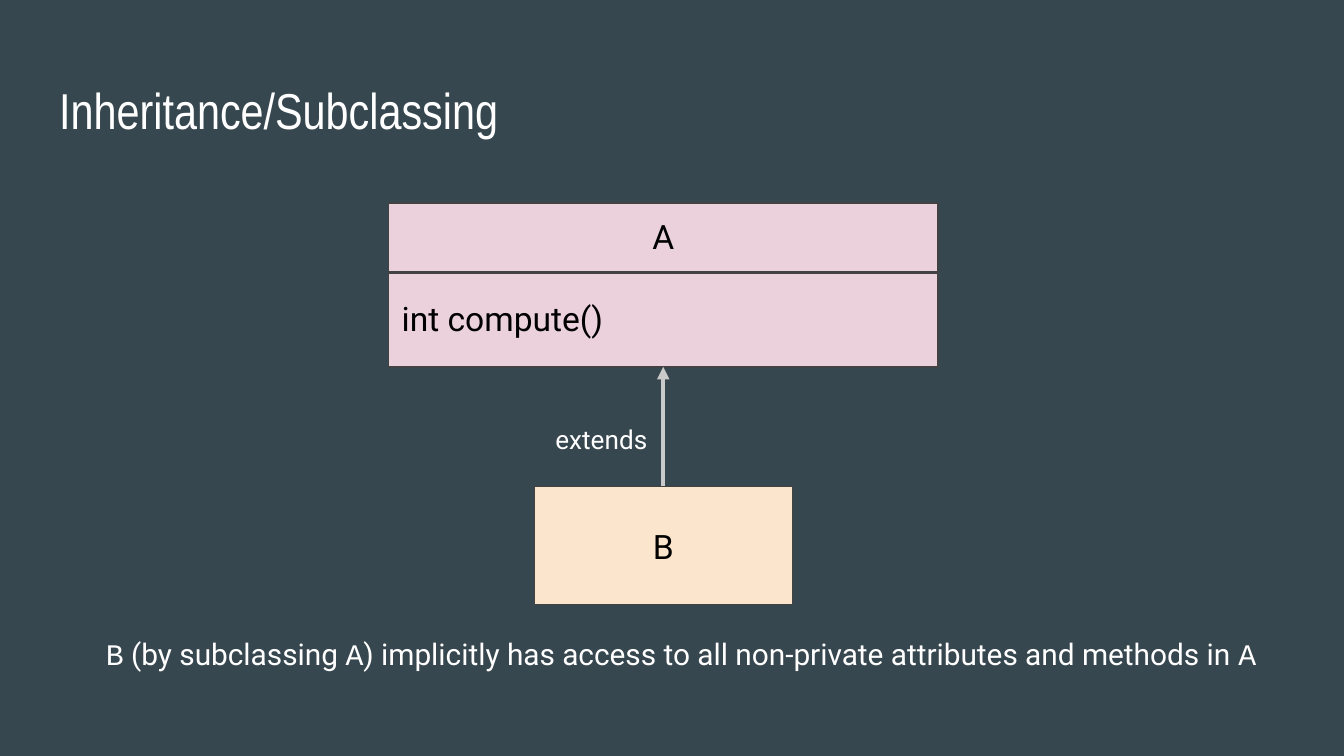
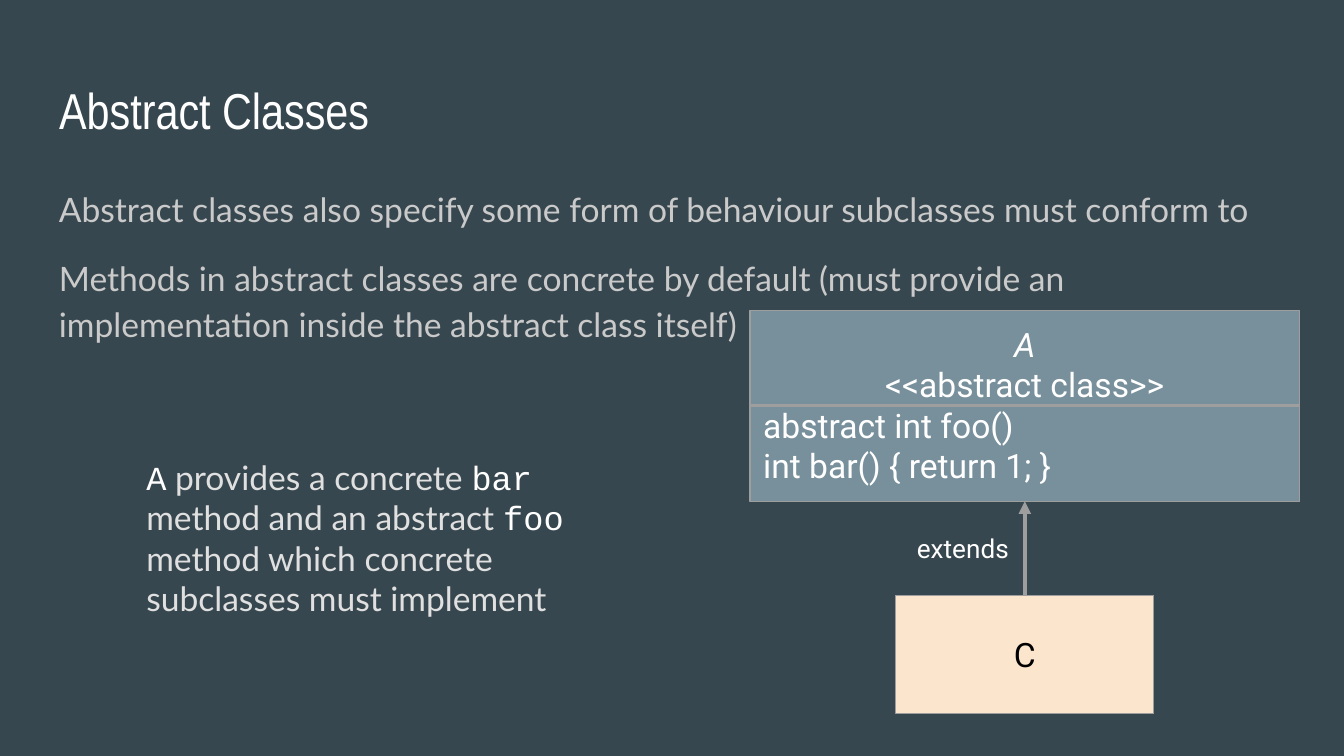
from dataclasses import dataclass

from lxml.etree import SubElement as Sub
from pptx import Presentation
from pptx.dml.color import RGBColor as RGB
from pptx.enum.shapes import MSO_CONNECTOR as Conn, MSO_SHAPE as Shape
from pptx.enum.text import MSO_ANCHOR as Anchor, MSO_AUTO_SIZE as Fit, PP_ALIGN as Align
from pptx.oxml.ns import qn
from pptx.util import Inches, Pt


@dataclass(frozen=True)
class Theme:
    # Colours
    back: str = "37474F"
    white: str = "FFFFFF"
    black: str = "000000"
    body: str = "CACACA"
    note: str = "E0E0E0"
    pink: str = "EAD1DC"
    slate: str = "78909C"
    peach: str = "FCE5CD"
    dark: str = "424242"
    grey: str = "9E9E9E"
    # Fonts
    head: str = "Arial Narrow"
    text: str = "Lato"
    label: str = "Roboto"
    code: str = "Courier New"
    # Type sizes
    title: int = 27
    main: int = 18
    foot: int = 16
    small: int = 14


T = Theme()


def write(frame, text, size=T.main, font=T.label, color=T.white, align=Align.LEFT,
          italic=False, before=0, after=0, lead=None):
    """Add one paragraph; parts between backticks are set as code."""
    para = frame.paragraphs[0]
    if para.runs:
        para = frame.add_paragraph()
    para.alignment = align
    para.space_before, para.space_after = Pt(before), Pt(after)
    if lead:
        para.line_spacing = lead
    for i, part in enumerate(text.split("`")):
        if not part:
            continue
        run = para.add_run()
        run.text = part
        run.font.size = Pt(size)
        run.font.italic = italic
        run.font.name = T.code if i % 2 else font
        run.font.color.rgb = RGB.from_string(T.white if i % 2 else color)


def setup(frame, anchor=Anchor.TOP):
    frame.word_wrap = True
    frame.auto_size = Fit.NONE
    frame.vertical_anchor = anchor
    frame.margin_left = frame.margin_right = Inches(0.1)
    frame.margin_top = frame.margin_bottom = Inches(0.1)
    return frame


def area(slide, *box):
    return setup(slide.shapes.add_textbox(*map(Inches, box)).text_frame)


def rect(slide, box, fill, edge, anchor=Anchor.TOP):
    shape = slide.shapes.add_shape(Shape.RECTANGLE, *map(Inches, box))
    shape.shadow.inherit = False
    shape.fill.solid()
    shape.fill.fore_color.rgb = RGB.from_string(fill)
    shape.line.color.rgb = RGB.from_string(edge)
    shape.line.width = Pt(0.75)
    setup(shape.text_frame, anchor)
    return shape


def join(slide, ends, color, width, arrow=False):
    line = slide.shapes.add_connector(Conn.STRAIGHT, *map(Inches, ends))
    line.line.color.rgb = RGB.from_string(color)
    line.line.width = Pt(width)
    props = line.element.spPr
    if arrow:
        Sub(props.find(qn("a:ln")), qn("a:tailEnd"), type="triangle")
    Sub(props, qn("a:effectLst"))
    return line


def begin(prs, text):
    """Add a slide with its title."""
    slide = prs.slides.add_slide(prs.slide_layouts[5])
    title = slide.shapes.title
    title.left, title.top, title.width, title.height = map(Inches, (0.34, 0.49, 9.32, 0.63))
    write(setup(title.text_frame), text, size=T.title, font=T.head)
    return slide


def tree(slide, box, gap, split, child, fill, edge, arrow):
    """Draw a parent class in the box and the child below it; return the parent's text."""
    left, top, width, height = box
    mid, right = left + width / 2, left + width
    low = top + height + gap

    # Parent with a rule between name and members
    base = rect(slide, box, fill, edge)
    rule = join(slide, (left, top + split, right, top + split), edge, 1.5)
    if split == height / 2:
        rule.begin_connect(base, 1)
        rule.end_connect(base, 3)

    # Child
    wide, tall = 1.92, 0.88
    sub = rect(slide, (mid - wide / 2, low, wide, tall), T.peach, edge, Anchor.MIDDLE)
    write(sub.text_frame, child, color=T.black, align=Align.CENTER)

    # Arrow and its label
    link = join(slide, (mid, low, mid, top + height), arrow, 2.25, arrow=True)
    link.begin_connect(sub, 0)
    link.end_connect(base, 2)
    write(area(slide, mid - 1.01, low - 0.57, 1.1, 0.44), "extends",
          size=T.small, align=Align.CENTER)
    return base.text_frame


def inherit(prs):
    slide = begin(prs, "Inheritance/Subclassing")
    names = tree(slide, (2.89, 1.51, 4.09, 1.22), gap=0.89, split=0.52, child="B",
                 fill=T.pink, edge=T.dark, arrow=T.body)
    write(names, "A", color=T.black, align=Align.CENTER)
    write(names, "int compute()", color=T.black, before=22)

    # Remark
    write(area(slide, 0.69, 4.63, 8.83, 0.47),
          "`B` (by subclassing `A`) implicitly has access to all "
          "non-private attributes and methods in `A`", size=T.foot)


def abstract(prs):
    slide = begin(prs, "Abstract Classes")

    # Body
    body = area(slide, 0.34, 1.26, 9.32, 3.74)
    look = dict(font=T.text, color=T.body, lead=1.15)
    write(body, "Abstract classes also specify some form of behaviour "
          "subclasses must conform to", **look)
    write(body, "Methods in abstract classes are concrete by default (must provide "
          "an implementation inside the abstract class itself)",
          before=12, after=12, **look)

    # Diagram
    names = tree(slide, (5.58, 2.31, 4.09, 1.42), gap=0.7, split=0.71, child="C",
                 fill=T.slate, edge=T.grey, arrow=T.grey)
    write(names, "A", align=Align.CENTER, italic=True)
    write(names, "<<abstract class>>", align=Align.CENTER)
    for text in ("abstract int foo()", "int bar() { return 1; }"):
        write(names, text)

    # Remark
    write(area(slide, 0.99, 3.3, 3.81, 1.41),
          "`A` provides a concrete `bar `method and an abstract `foo `method "
          "which concrete subclasses must implement", font=T.text, color=T.note)


def main():
    prs = Presentation()
    prs.slide_width = Inches(10)
    prs.slide_height = prs.slide_width * 9 // 16
    back = prs.slide_master.background.fill
    back.solid()
    back.fore_color.rgb = RGB.from_string(T.back)
    inherit(prs)
    abstract(prs)
    prs.save("out.pptx")


if __name__ == "__main__":
    main()
